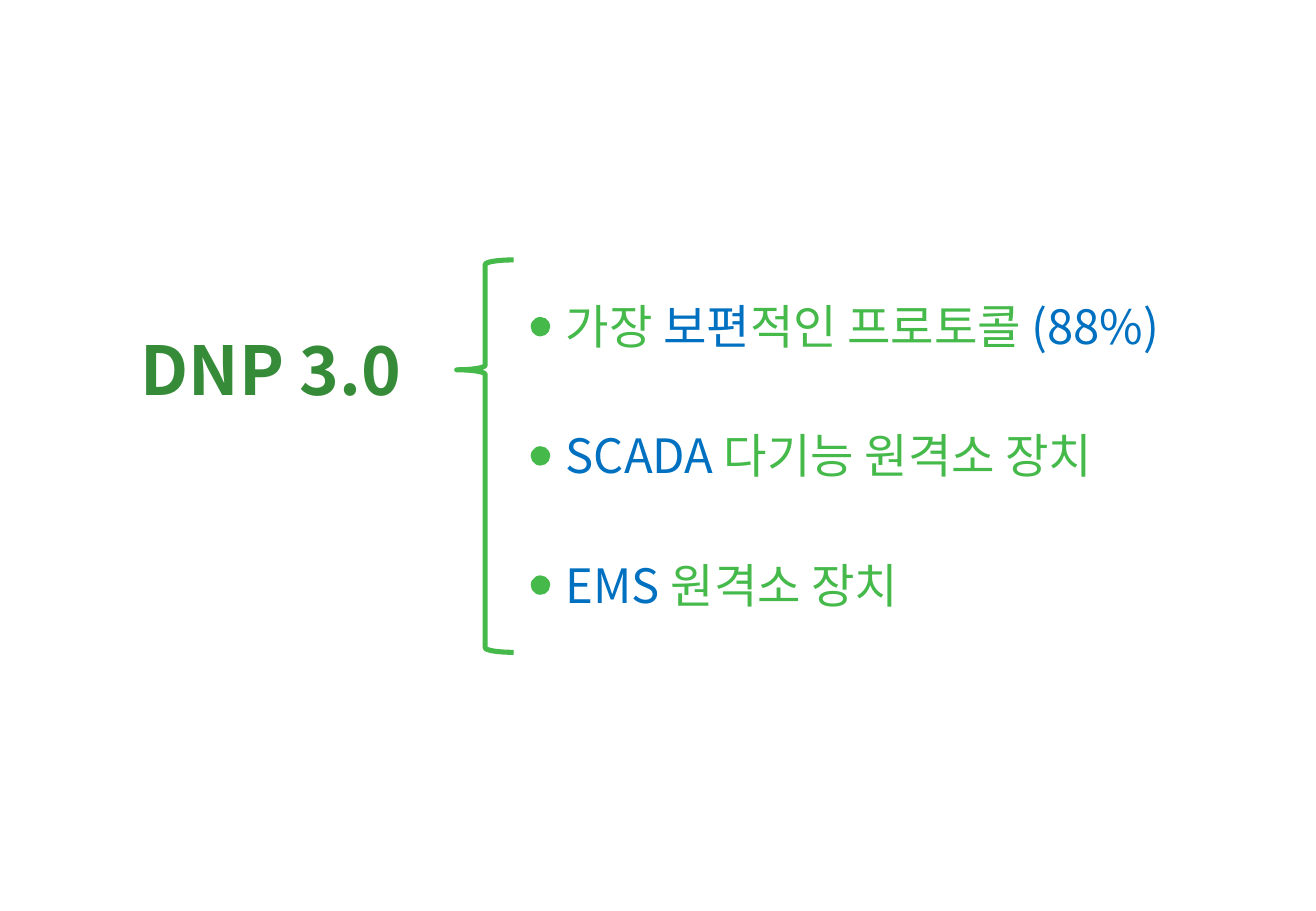
from pptx import Presentation
from pptx import util as u
from pptx.dml import color
from pptx.enum import shapes, text
from pptx.oxml import ns
from lxml import etree

Pt = u.Pt
Kind = shapes.MSO_SHAPE


class Deck:
    face = "Noto Sans CJK KR"
    hues = {"green": "46B94B", "dark": "358B38", "blue": "0070C0"}

    def __init__(self, wide, high):
        self.show = Presentation()
        self.show.slide_width = Pt(wide)
        self.show.slide_height = Pt(high)
        self.slide = self.show.slides.add_slide(self.show.slide_layouts[6])

    def hue(self, name):
        return color.RGBColor.from_string(self.hues[name])

    def label(self, box, parts, size, bold=False):
        frame = self.slide.shapes.add_textbox(*map(Pt, box)).text_frame
        frame.word_wrap = True
        frame.auto_size = text.MSO_AUTO_SIZE.SHAPE_TO_FIT_TEXT
        for words, tint in parts:
            run = frame.paragraphs[0].add_run()
            run.text = words
            font = run.font
            font.size = Pt(size)
            font.bold = bold
            font.color.rgb = self.hue(tint)
            font.name = self.face
            props = run._r.get_or_add_rPr()
            etree.SubElement(props, ns.qn("a:ea"), typeface=self.face)

    def shape(self, kind, box):
        item = self.slide.shapes.add_shape(kind, *map(Pt, box))
        item.shadow.inherit = False
        return item

    def dot(self, left, top, size, tint):
        item = self.shape(Kind.OVAL, (left, top, size, size))
        item.fill.solid()
        item.fill.fore_color.rgb = self.hue(tint)
        item.line.fill.background()

    def brace(self, box, curve, point, tint, width):
        item = self.shape(Kind.LEFT_BRACE, box)
        item.adjustments[0] = curve
        item.adjustments[1] = point
        item.fill.background()
        item.line.color.rgb = self.hue(tint)
        item.line.width = Pt(width)


def main():
    deck = Deck(780, 540)
    deck.label((76.3, 190.8, 176.4, 55.4), [("DNP 3.0", "dark")], 40, True)
    deck.brace((270.7, 154.1, 33.8, 232.6), 0.08, 0.28, "green", 3)
    rows = [
        (417, [("가장 ", "green"), ("보편", "blue"),
               ("적인 프로토콜 ", "green"), ("(88%)", "blue")]),
        (375, [("SCADA ", "blue"), ("다기능 원격소 장치", "green")]),
        (239, [("EMS ", "blue"), ("원격소 장치", "green")]),
    ]
    for i, (wide, parts) in enumerate(rows):
        top = 172.8 + 76.6 * i
        deck.dot(314.6, top + 15.1, 11.5, "green")
        deck.label((328.3, top, wide, 41), parts, 28)
    deck.show.save("out.pptx")


if __name__ == "__main__":
    main()
